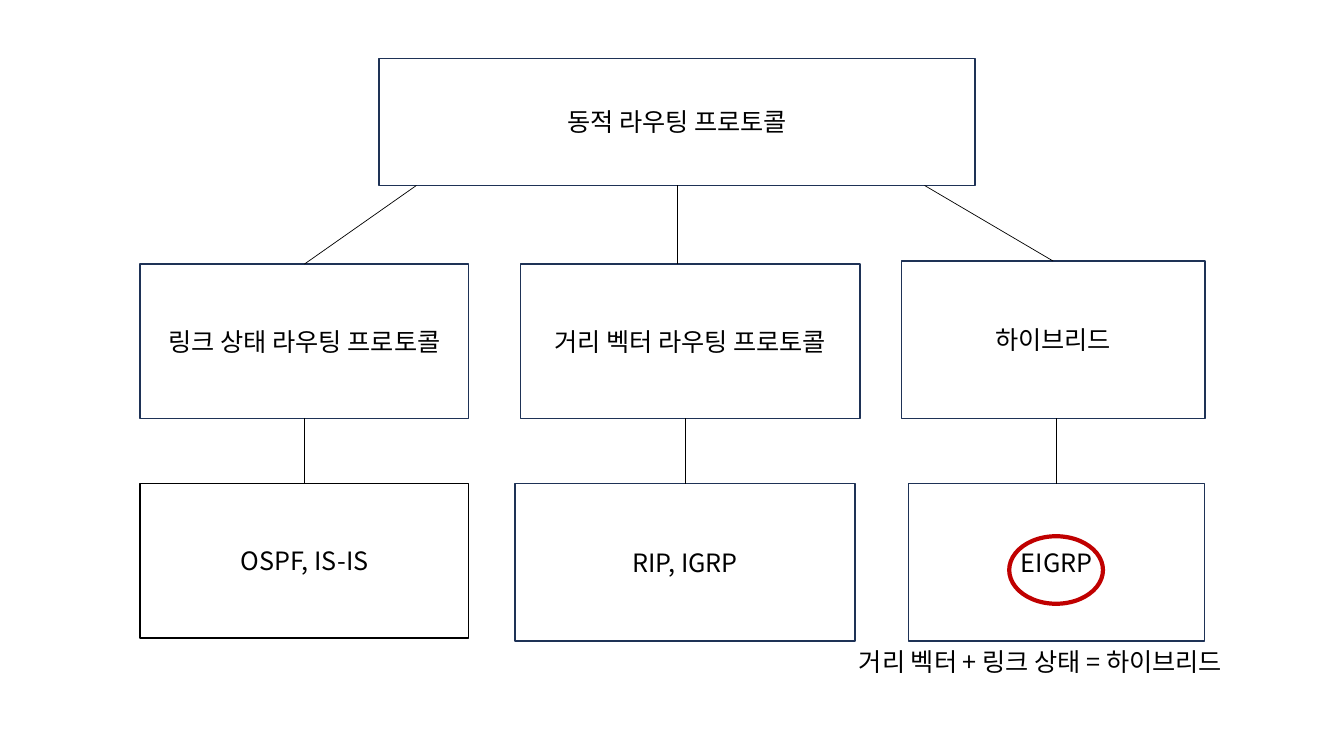
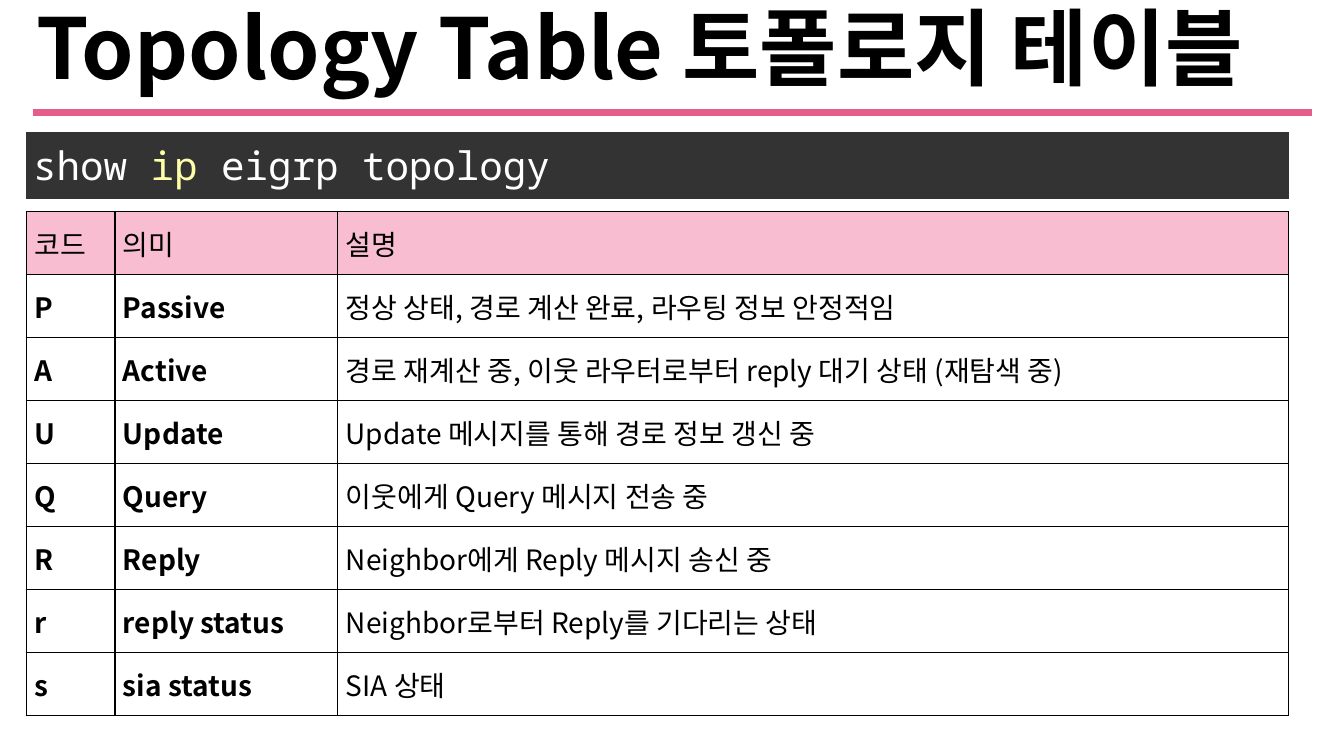
from dataclasses import dataclass

from lxml.etree import SubElement
from pptx import Presentation
from pptx.dml.color import RGBColor
from pptx.enum.shapes import MSO_CONNECTOR, MSO_SHAPE
from pptx.enum.text import MSO_ANCHOR as Anchor, MSO_AUTO_SIZE as AutoSize, PP_ALIGN as Align
from pptx.oxml.ns import qn
from pptx.util import Inches, Pt

COLORS = {
    "ink": "000000", "paper": "FFFFFF", "navy": "1E3256", "red": "C00000",
    "rule": "E65C8D", "header": "F9BDD2", "code": "333333", "keyword": "FFFFAA",
}
FONT, CODE_FONT = "Noto Sans CJK KR", "Noto Sans Mono"
PLAIN_TABLE = "{2D5ABB26-0587-4C30-8999-92F81FD0307C}"
TITLE_LAYOUT, BLANK_LAYOUT = 5, 6

BRANCHES = [
    ("링크 상태 라우팅 프로토콜", "OSPF, IS-IS"),
    ("거리 벡터 라우팅 프로토콜", "RIP, IGRP"),
    ("하이브리드", "EIGRP"),
]
CODE = [("show ", "paper"), ("ip ", "keyword"), ("eigrp topology", "paper")]
STATES = [
    ("코드", "의미", "설명"),
    ("P", "Passive", "정상 상태, 경로 계산 완료, 라우팅 정보 안정적임"),
    ("A", "Active", "경로 재계산 중, 이웃 라우터로부터 reply 대기 상태 (재탐색 중)"),
    ("U", "Update", "Update 메시지를 통해 경로 정보 갱신 중"),
    ("Q", "Query", "이웃에게 Query 메시지 전송 중"),
    ("R", "Reply", "Neighbor에게 Reply 메시지 송신 중"),
    ("r", "reply status", "Neighbor로부터 Reply를 기다리는 상태"),
    ("s", "sia status", "SIA 상태"),
]


@dataclass
class Box:
    """A rectangle in inches."""
    left: float
    top: float
    width: float
    height: float

    @property
    def center(self):
        """Return the horizontal centre."""
        return self.left + self.width / 2

    @property
    def bottom(self):
        """Return the lower edge."""
        return self.top + self.height

    def inside(self, left, top, width, height):
        """Return a box placed relative to this one."""
        return Box(self.left + left, self.top + top, width, height)

    def lengths(self):
        """Return the four measures as lengths."""
        return [Inches(value) for value in (self.left, self.top, self.width, self.height)]


def rgb(name):
    """Look up a palette colour."""
    return RGBColor.from_string(COLORS[name])


def add_text(para, text, size=18, color="ink", bold=False, font=FONT):
    """Append one formatted run."""
    span = para.add_run()
    span.text = text
    span.font.size, span.font.bold, span.font.name = Pt(size), bold, font
    span.font.color.rgb = rgb(color)
    SubElement(span.font._element, qn("a:ea"), typeface=font)


def add_line(slide, start, end, color="ink", weight=0.5):
    """Draw a straight line between two points."""
    line = slide.shapes.add_connector(
        MSO_CONNECTOR.STRAIGHT, *[Inches(value) for value in (*start, *end)])
    line.line.color.rgb = rgb(color)
    line.line.width = Pt(weight)
    SubElement(line._element.spPr, qn("a:effectLst"))


def add_node(slide, box, text, outline="navy"):
    """Draw a labelled rectangle."""
    node = slide.shapes.add_shape(MSO_SHAPE.RECTANGLE, *box.lengths())
    node.shadow.inherit = False
    node.fill.solid()
    node.fill.fore_color.rgb = rgb("paper")
    node.line.color.rgb = rgb(outline)
    node.line.width = Pt(1)
    node.text_frame.vertical_anchor = Anchor.MIDDLE
    para = node.text_frame.paragraphs[0]
    para.alignment = Align.CENTER
    add_text(para, text)


def add_ring(slide, box):
    """Draw the red highlight ring."""
    ring = slide.shapes.add_shape(MSO_SHAPE.OVAL, *box.lengths())
    ring.shadow.inherit = False
    ring.fill.background()
    ring.line.color.rgb = rgb("red")
    ring.line.width = Pt(3)


def add_caption(slide, box, text):
    """Place a line of plain text."""
    frame = slide.shapes.add_textbox(*box.lengths()).text_frame
    frame.word_wrap = True
    add_text(frame.paragraphs[0], text)


def add_tree(slide, area):
    """Draw the protocol tree."""
    root = area.inside(2.37, 0, 5.91, 1.26)
    kinds = [area.inside(0, 2.04, 3.26, 1.53),
             area.inside(3.77, 2.04, 3.37, 1.53),
             area.inside(7.55, 2.01, 3.01, 1.56)]
    examples = [area.inside(0, 4.22, 3.26, 1.53),
                area.inside(3.72, 4.22, 3.37, 1.56),
                area.inside(7.62, 4.22, 2.94, 1.56)]
    starts = [root.left + 0.37, root.center, root.left + 5.41]
    ends = [kinds[0].center, root.center, kinds[2].center]
    outlines = ["ink", "navy", "navy"]

    add_node(slide, root, "동적 라우팅 프로토콜")
    for labels, kind, example, start, end, outline in zip(
            BRANCHES, kinds, examples, starts, ends, outlines):
        add_node(slide, kind, labels[0])
        add_node(slide, example, labels[1], outline)
        add_line(slide, (start, root.bottom), (end, kind.top))
        add_line(slide, (example.center, kind.bottom), (example.center, example.top))
    add_ring(slide, examples[2].inside(1, 0.52, 0.93, 0.67))
    add_caption(slide, area.inside(7.03, 5.78, 4.37, 0.4), "거리 벡터 + 링크 상태 = 하이브리드")


def add_title(slide, box, text):
    """Fill the title placeholder and underline it."""
    title = slide.shapes.title
    title.left, title.top, title.width, title.height = box.lengths()
    frame = title.text_frame
    frame.auto_size = AutoSize.NONE
    frame.vertical_anchor = Anchor.MIDDLE
    para = frame.paragraphs[0]
    para.alignment, para.line_spacing = Align.LEFT, 0.9
    add_text(para, text, 60, bold=True)
    rule_top = box.top + 1.01
    add_line(slide, (box.left + 0.07, rule_top), (box.left + 12.75, rule_top), "rule", 5)


def add_plain_table(slide, box, rows, columns):
    """Add a table without style and return it."""
    table = slide.shapes.add_table(rows, columns, *box.lengths()).table
    table.first_row = table.horz_banding = False
    table._tbl.tblPr.find(qn("a:tableStyleId")).text = PLAIN_TABLE
    return table


def set_margins(cell, side, edge):
    """Set the side and top margins of a cell."""
    cell.margin_left = cell.margin_right = Inches(side)
    cell.margin_top = cell.margin_bottom = Inches(edge)


def fill_cell(cell, color):
    """Fill a cell with one colour."""
    cell.fill.solid()
    cell.fill.fore_color.rgb = rgb(color)


def add_borders(cell):
    """Draw a thin border on every side of a cell."""
    for side in ("lnL", "lnR", "lnT", "lnB"):
        line = SubElement(cell._tc.get_or_add_tcPr(), qn(f"a:{side}"), w=str(Pt(1)))
        fill = SubElement(line, qn("a:solidFill"))
        SubElement(fill, qn("a:srgbClr"), val=COLORS["ink"])


def add_code_band(slide, box):
    """Place the command in a dark one-cell table."""
    cell = add_plain_table(slide, box, 1, 1).cell(0, 0)
    set_margins(cell, 0.07, 0.07)
    fill_cell(cell, "code")
    for text, color in CODE:
        add_text(cell.text_frame.paragraphs[0], text, 28, color, font=CODE_FONT)


def add_state_table(slide, box):
    """Place the table of state codes."""
    table = add_plain_table(slide, box, len(STATES), len(STATES[0]))
    for column, width in zip(table.columns, (0.88, 2.21, box.width - 3.09)):
        column.width = Inches(width)
    for row, values in enumerate(STATES):
        for column, text in enumerate(values):
            cell = table.cell(row, column)
            add_borders(cell)
            set_margins(cell, 0.08, 0.04)
            cell.vertical_anchor = Anchor.MIDDLE
            if row == 0:
                fill_cell(cell, "header")
            else:
                cell.fill.background()
            add_text(cell.text_frame.paragraphs[0], text, 20, bold=row > 0 and column < 2)


def main():
    """Build and save the deck."""
    deck = Presentation()
    deck.slide_width, deck.slide_height = Inches(13.33), Inches(7.5)

    tree_slide = deck.slides.add_slide(deck.slide_layouts[BLANK_LAYOUT])
    add_tree(tree_slide, Box(1.39, 0.58, 11.4, 6.18))

    table_slide = deck.slides.add_slide(deck.slide_layouts[TITLE_LAYOUT])
    add_title(table_slide, Box(0.26, 0.11, 12.81, 0.82), "Topology Table 토폴로지 테이블")
    add_code_band(table_slide, Box(0.26, 1.31, 12.52, 0.61))
    add_state_table(table_slide, Box(0.26, 2.1, 12.52, 5))

    deck.save("out.pptx")


if __name__ == "__main__":
    main()
